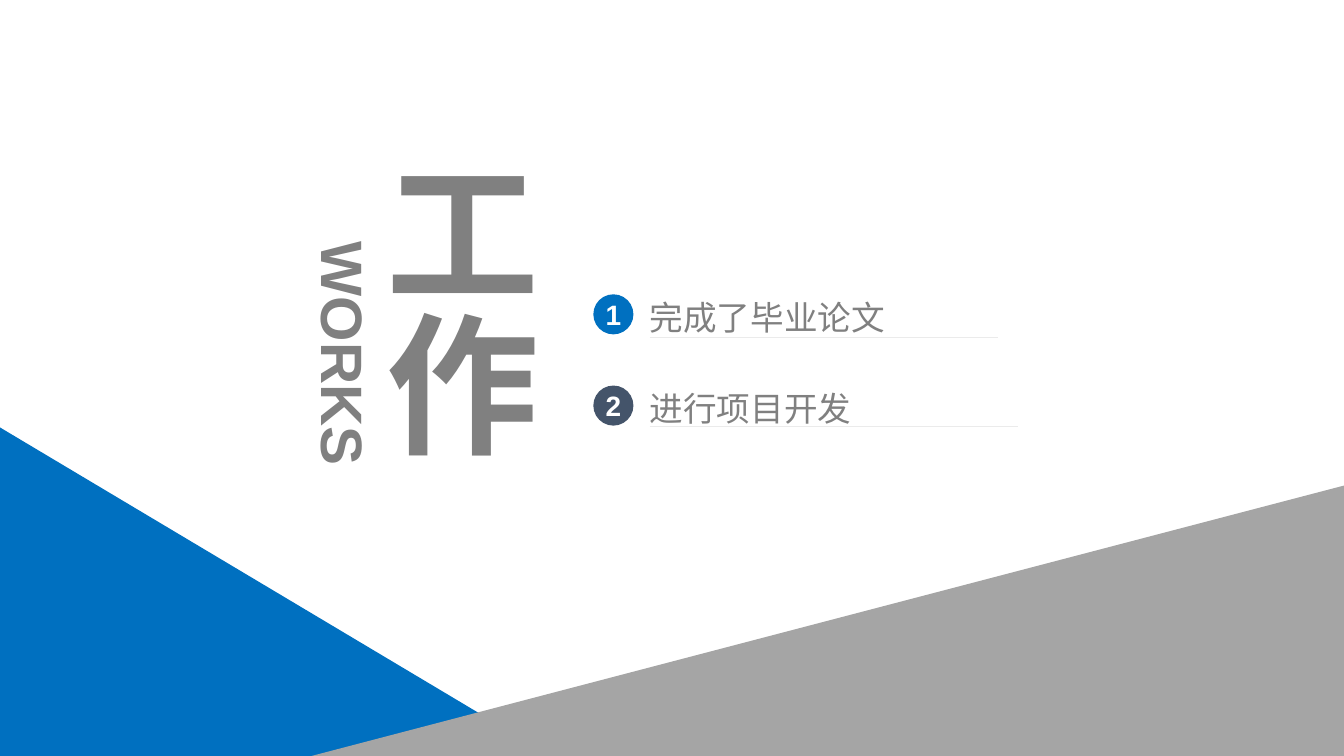
from dataclasses import dataclass

from lxml import etree
from pptx import Presentation
from pptx.dml.color import RGBColor
from pptx.enum import shapes, text
from pptx.oxml.ns import qn
from pptx.util import Pt


@dataclass(frozen=True)
class Theme:
    font: str = "Arial"
    blue: str = "0070C0"
    navy: str = "44546A"
    gray: str = "808080"
    silver: str = "A5A5A5"
    rule: str = "EBEBEB"
    white: str = "FFFFFF"
    title: float = 115
    subtitle: float = 44
    item: float = 25.3
    number: float = 21.1


THEME = Theme()
WIDTH, HEIGHT = 1012.5, 569.5
ITEM_TOP, ITEM_PITCH, ITEM_HEIGHT = 214.5, 68.75, 39.6
BADGE_LEFT, BADGE_SIZE, TEXT_LEFT = 447, 30.2, 489.5
ITEMS = [
    ("完成了毕业论文", THEME.blue, 262, 254.2),
    ("进行项目开发", THEME.navy, 277.5, 321.1),
]


def paint(sp, color):
    sp.shadow.inherit = False
    sp.fill.solid()
    sp.fill.fore_color.rgb = RGBColor.from_string(color)
    sp.line.fill.background()


def write(sp, words, size, color, bold=False, align=text.PP_ALIGN.CENTER,
          anchor=text.MSO_ANCHOR.MIDDLE, spacing=None):
    tf = sp.text_frame
    tf.word_wrap = True
    tf.vertical_anchor = anchor
    tf.margin_left = tf.margin_top = tf.margin_right = tf.margin_bottom = 0
    p = tf.paragraphs[0]
    p.alignment = align
    p.line_spacing = spacing
    r = p.add_run()
    r.text = words
    r.font.name = THEME.font
    r.font.size = Pt(size)
    r.font.bold = bold
    r.font.color.rgb = RGBColor.from_string(color)


def add_text(s, box, words, size, **style):
    sp = s.shapes.add_textbox(*map(Pt, box))
    write(sp, words, size, THEME.gray, **style)
    return sp


def add_polygon(s, points, color):
    start, *rest = [(Pt(x), Pt(y)) for x, y in points]
    builder = s.shapes.build_freeform(*start)
    builder.add_line_segments(rest, close=True)
    paint(builder.convert_to_shape(), color)


def add_badge(s, top, number, color):
    sp = s.shapes.add_shape(
        shapes.MSO_SHAPE.OVAL,
        Pt(BADGE_LEFT), Pt(top), Pt(BADGE_SIZE), Pt(BADGE_SIZE))
    paint(sp, color)
    write(sp, str(number), THEME.number, THEME.white, bold=True)


def add_rule(s, left, y, length):
    line = s.shapes.add_connector(
        shapes.MSO_CONNECTOR.STRAIGHT, Pt(left), Pt(y), Pt(left + length), Pt(y))
    line.line.color.rgb = RGBColor.from_string(THEME.rule)
    line.line.width = Pt(0.5)
    etree.SubElement(line._element.spPr, qn("a:effectLst"))


def add_item(s, index, words, color, length, rule_y):
    top = ITEM_TOP + index * ITEM_PITCH
    add_badge(s, top + 7.2, index + 1, color)
    add_rule(s, TEXT_LEFT, rule_y, length)
    add_text(s, (TEXT_LEFT, top, length, ITEM_HEIGHT), words, THEME.item,
             align=text.PP_ALIGN.LEFT, spacing=1.3)


def add_heading(s):
    title = add_text(s, (275, 117.4, 139.7, 298.8), "工作", THEME.title, bold=True)
    title.text_frame._txBody.bodyPr.set("vert", "eaVert")
    subtitle = add_text(s, (129.6, 239.8, 260, 53.3), "WORKS", THEME.subtitle,
                        bold=True, anchor=text.MSO_ANCHOR.TOP)
    subtitle.rotation = 90


def main():
    prs = Presentation()
    prs.slide_width, prs.slide_height = Pt(WIDTH), Pt(HEIGHT)
    s = prs.slides.add_slide(prs.slide_layouts[6])
    add_heading(s)
    for index, item in enumerate(ITEMS):
        add_item(s, index, *item)
    add_polygon(s, [(0, 322), (415, HEIGHT), (0, HEIGHT)], THEME.blue)
    add_polygon(s, [(WIDTH, 365.8), (WIDTH, HEIGHT), (234.7, HEIGHT)], THEME.silver)
    prs.save("out.pptx")


if __name__ == "__main__":
    main()
